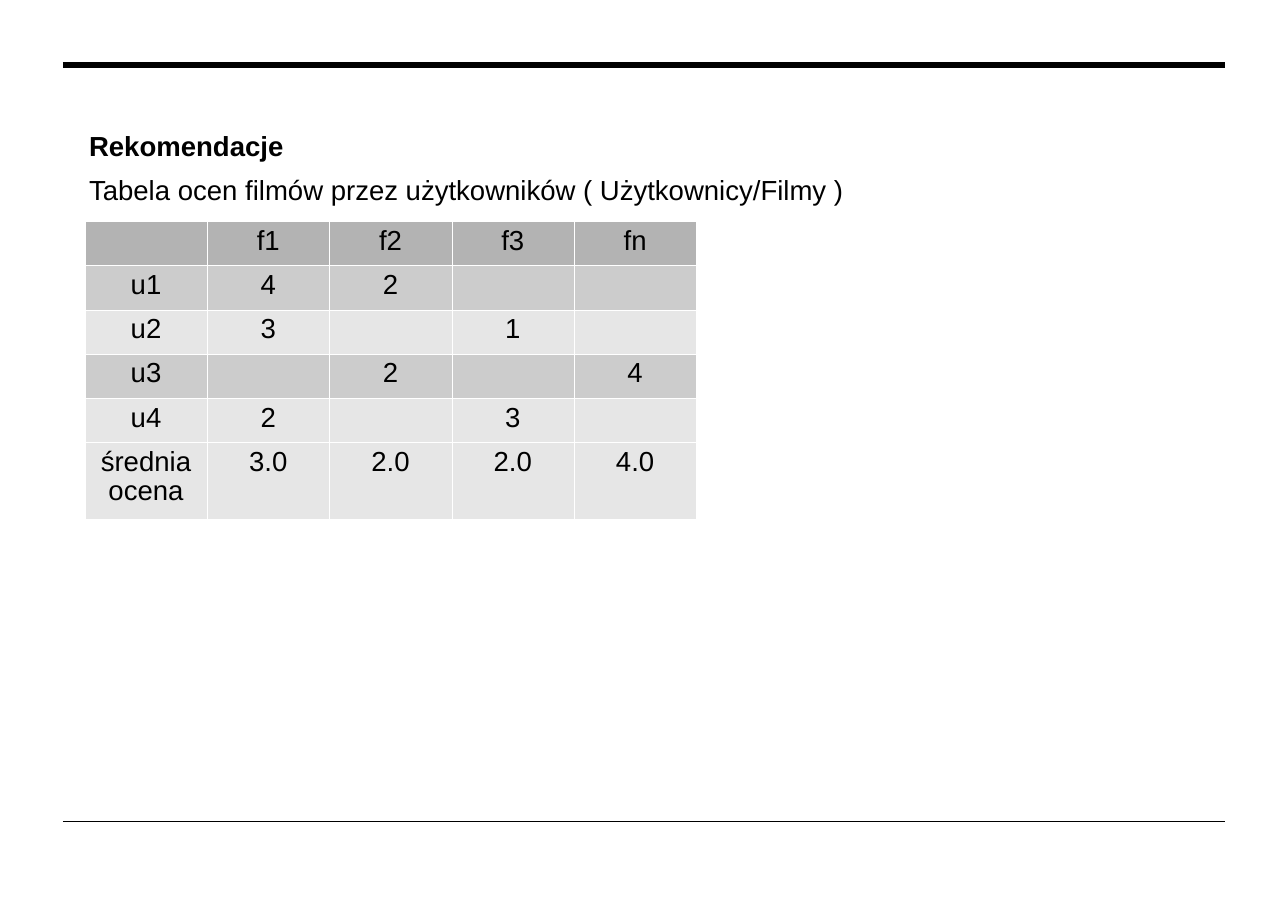
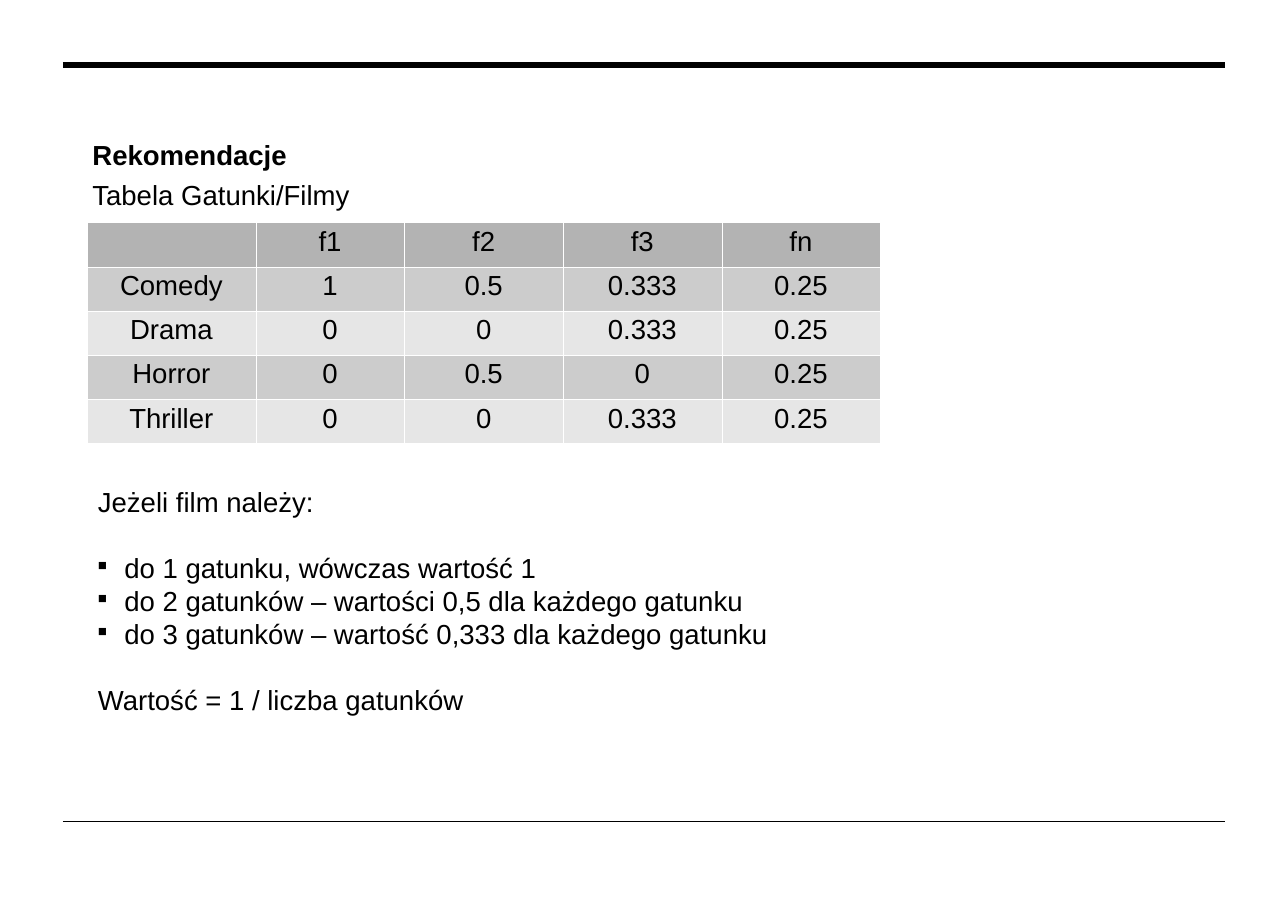
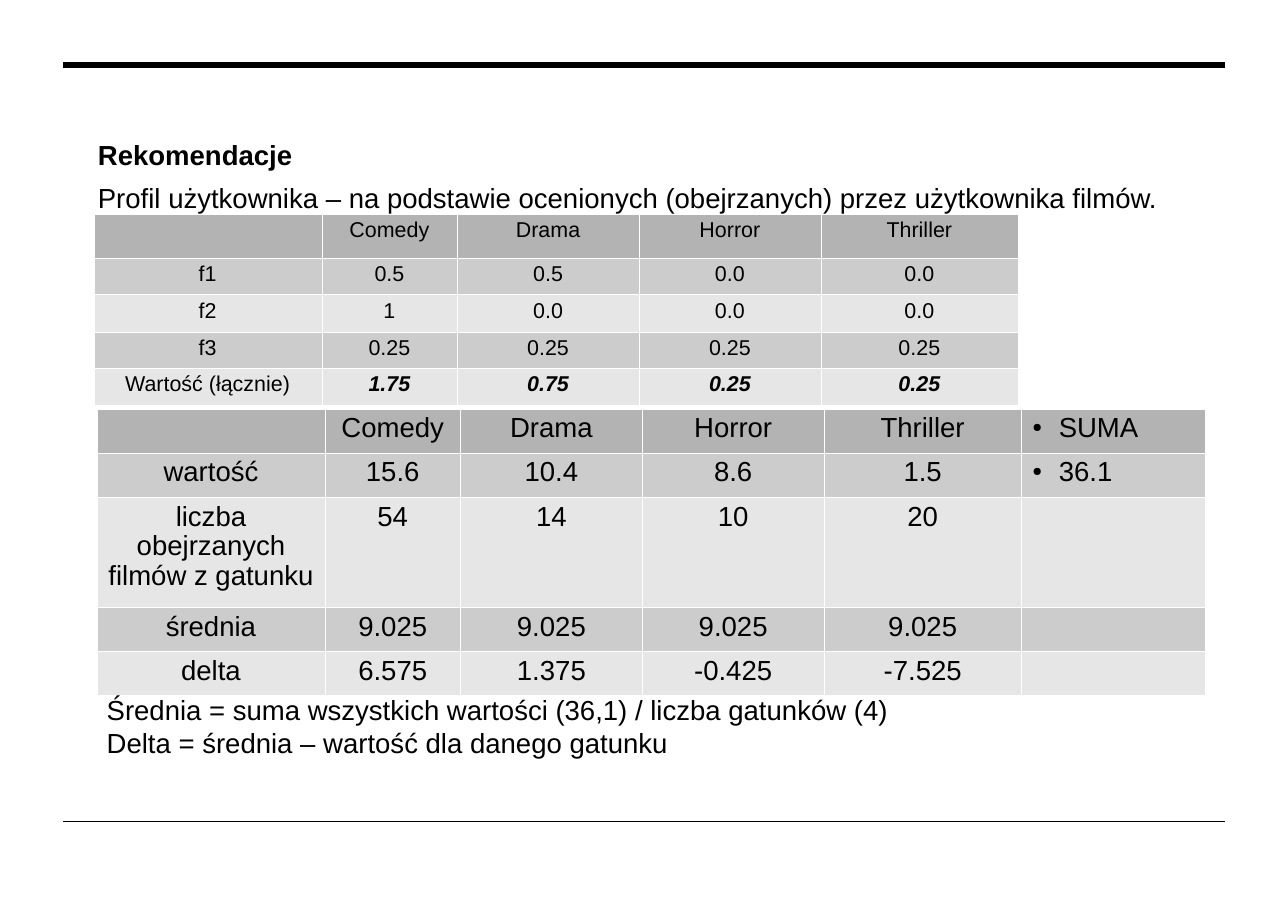
from dataclasses import dataclass

from lxml import etree
from pptx import Presentation
from pptx.dml.color import RGBColor
from pptx.enum import shapes, text
from pptx.oxml import ns
from pptx.util import Emu, Pt

SCALE = 9144


def px(n):
    return Emu(n * SCALE)


def sub(root, tag, **attrs):
    return etree.SubElement(root, ns.qn(tag), attrs)


@dataclass(frozen=True)
class Theme:
    font: str = "Arial"
    ink: str = "000000"
    grid: str = "FFFFFF"
    head: str = "B3B3B3"
    dark: str = "CCCCCC"
    light: str = "E6E6E6"
    body: float = 18
    small: float = 14
    lead: float = 21.6
    tight: float = 0.96
    bullet: int = 45
    indent: int = 24
    hair: int = 762


class Deck:
    def __init__(self, theme):
        self.theme = theme
        self.prs = Presentation()
        self.prs.slide_width, self.prs.slide_height = px(1169), px(827)
        self.slide = None

    def page(self):
        self.slide = self.prs.slides.add_slide(self.prs.slide_layouts[6])
        self.rule(746, 0.75)
        self.rule(59, 4)

    def rule(self, y, width):
        line = self.slide.shapes.add_connector(
            shapes.MSO_CONNECTOR.STRAIGHT, px(57), px(y), px(1112), px(y))
        line.line.color.rgb = RGBColor.from_string(self.theme.ink)
        line.line.width = Pt(width)
        sub(line.element.spPr, "a:effectLst")

    def label(self, par, words, size, bold=False, slant=False):
        mark = words[:1] if words[:1] in ("■", "●") else ""
        par.text = words[2:] if mark else words
        font = par.font
        font.name, font.size = self.theme.font, Pt(size)
        font.bold, font.italic = bold, slant
        font.color.rgb = RGBColor.from_string(self.theme.ink)
        if mark:
            self.mark(par, mark)

    def mark(self, par, char):
        props = par._p.get_or_add_pPr()
        step = px(self.theme.indent)
        props.set("marL", str(step))
        props.set("indent", str(-step))
        tint = etree.Element(ns.qn("a:buClr"))
        sub(tint, "a:srgbClr", val=self.theme.ink)
        size = etree.Element(ns.qn("a:buSzPct"), val=str(self.theme.bullet * 1000))
        sign = etree.Element(ns.qn("a:buChar"), char=char)
        font = props.find(ns.qn("a:defRPr"))
        for part in (tint, size, sign):
            font.addprevious(part)

    def note(self, x, y, w, h, lines, bold=False, gaps=()):
        frame = self.slide.shapes.add_textbox(px(x), px(y), px(w), px(h)).text_frame
        frame.word_wrap = True
        frame.margin_left = frame.margin_right = px(10)
        frame.margin_top, frame.margin_bottom = px(7), px(3)
        for i, line in enumerate(lines):
            par = frame.add_paragraph() if i else frame.paragraphs[0]
            self.label(par, line, self.theme.body, bold)
            par.line_spacing = Pt(self.theme.lead)
            if i in gaps:
                par.space_before = Pt(self.theme.lead)

    def title(self, x, y):
        self.note(x, y, 811, 40, ["Rekomendacje"], bold=True)

    def shade(self, row, foot):
        if row == 0:
            return self.theme.head
        return self.theme.dark if row % 2 and not foot else self.theme.light

    def cell(self, cell, words, fill, size, strong):
        props = cell._tc.get_or_add_tcPr()
        for side in "LRTB":
            edge = sub(props, f"a:ln{side}", w=str(self.theme.hair))
            sub(sub(edge, "a:solidFill"), "a:srgbClr", val=self.theme.grid)
        cell.fill.solid()
        cell.fill.fore_color.rgb = RGBColor.from_string(fill)
        cell.margin_left = cell.margin_right = px(10)
        cell.margin_top = cell.margin_bottom = px(5)
        if words:
            par = cell.text_frame.paragraphs[0]
            self.label(par, words, size, strong, strong)
            par.line_spacing = self.theme.tight
            if not words.startswith("●"):
                par.alignment = text.PP_ALIGN.CENTER

    def table(self, x, y, cols, rows, data, size=None, foot=False, strong=False):
        grid = self.slide.shapes.add_table(
            len(rows), len(cols), px(x), px(y), px(sum(cols)), px(sum(rows))).table
        grid.first_row = grid.horz_banding = False
        for col, w in zip(grid.columns, cols):
            col.width = px(w)
        for r, (h, line) in enumerate(zip(rows, data)):
            grid.rows[r].height = px(h)
            last = r == len(rows) - 1
            for c, words in enumerate(line.split("|")):
                self.cell(grid.cell(r, c), words, self.shade(r, foot and last),
                          size or self.theme.body, strong and last and c > 0)


def ratings(deck):
    deck.page()
    deck.title(71, 110)
    deck.table(77, 201, [111] * 5, [40] * 5 + [70], [
        "|f1|f2|f3|fn",
        "u1|4|2||",
        "u2|3||1|",
        "u3||2||4",
        "u4|2||3|",
        "średnia ocena|3.0|2.0|2.0|4.0",
    ], foot=True)
    deck.note(71, 150, 866, 40,
              ["Tabela ocen filmów przez użytkowników ( Użytkownicy/Filmy )"])


def genres(deck):
    deck.page()
    deck.title(74, 118)
    deck.table(79, 202, [153, 135] + [144] * 3, [40] * 5, [
        "|f1|f2|f3|fn",
        "Comedy|1|0.5|0.333|0.25",
        "Drama|0|0|0.333|0.25",
        "Horror|0|0.5|0|0.25",
        "Thriller|0|0|0.333|0.25",
    ])
    deck.note(74, 155, 543, 40, ["Tabela Gatunki/Filmy"])
    deck.note(79, 433, 677, 206, [
        "Jeżeli film należy:",
        "■ do 1 gatunku, wówczas wartość 1",
        "■ do 2 gatunków – wartości 0,5 dla każdego gatunku",
        "■ do 3 gatunków – wartość 0,333 dla każdego gatunku",
        "Wartość = 1 / liczba gatunków",
    ], gaps=(1, 4))


def profile(deck):
    cols = [207, 123, 165, 165, 179]
    deck.page()
    deck.title(79, 118)
    deck.table(88, 371, cols + [167], [40, 40, 100, 40, 40], [
        "|Comedy|Drama|Horror|Thriller|● SUMA",
        "wartość|15.6|10.4|8.6|1.5|● 36.1",
        "liczba obejrzanych filmów z gatunku|54|14|10|20|",
        "średnia|9.025|9.025|9.025|9.025|",
        "delta|6.575|1.375|-0.425|-7.525|",
    ])
    deck.note(79, 157, 1008, 40, [
        "Profil użytkownika – na podstawie ocenionych (obejrzanych) "
        "przez użytkownika filmów."])
    deck.note(87, 622, 787, 70, [
        "Średnia = suma wszystkich wartości (36,1) / liczba gatunków (4)",
        "Delta = średnia – wartość dla danego gatunku",
    ])
    deck.table(85, 194, cols, [39, 33, 34, 33, 34], [
        "|Comedy|Drama|Horror|Thriller",
        "f1|0.5|0.5|0.0|0.0",
        "f2|1|0.0|0.0|0.0",
        "f3|0.25|0.25|0.25|0.25",
        "Wartość (łącznie)|1.75|0.75|0.25|0.25",
    ], size=deck.theme.small, strong=True)


def main():
    deck = Deck(Theme())
    for build in (ratings, genres, profile):
        build(deck)
    deck.prs.save("out.pptx")


if __name__ == "__main__":
    main()
